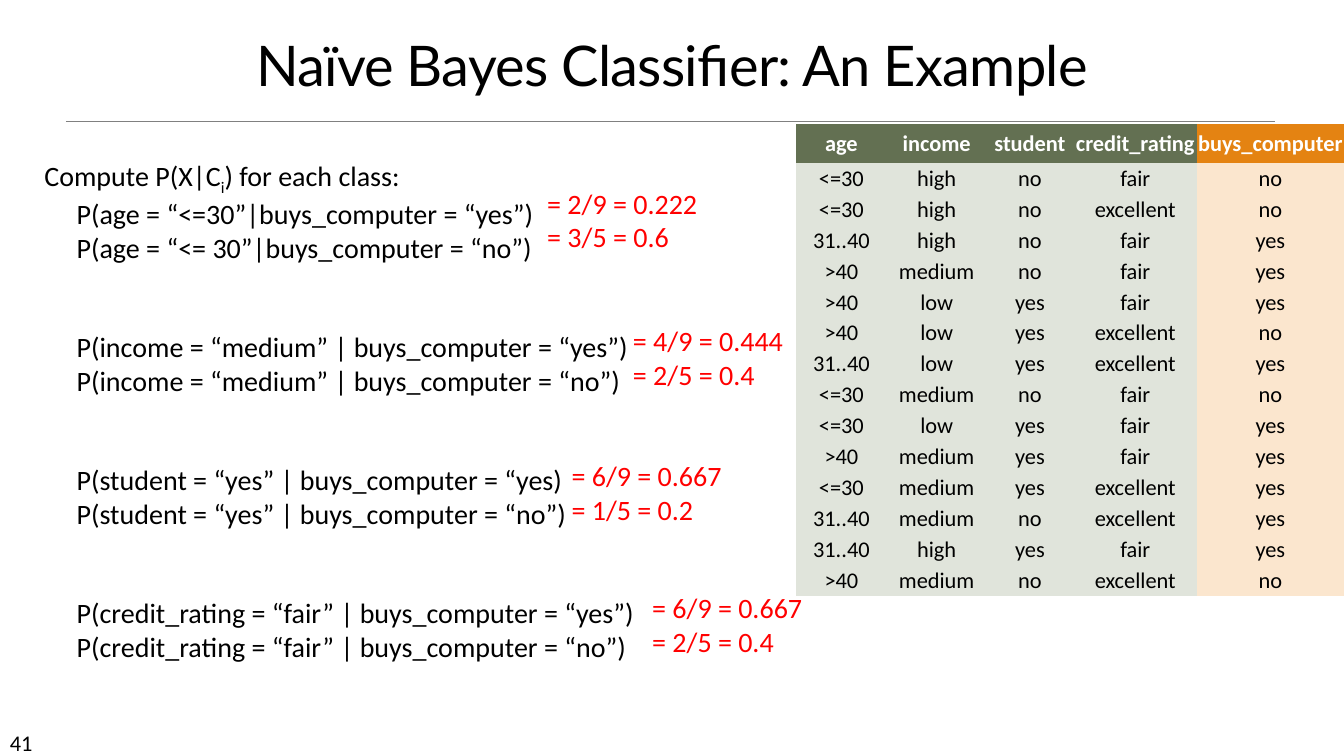
"""Build the naïve Bayes worked example slide."""
from pptx import Presentation
from pptx import util as u
from pptx.dml.color import RGBColor
from pptx.enum import shapes, text
from pptx.oxml.ns import qn
from lxml import etree

HUES = {"ink": "000000", "red": "FF0000", "rule": "808080", "white": "FFFFFF",
        "green": "637052", "orange": "E48312", "sage": "E0E4DB", "peach": "FBE6CE"}

deck = Presentation()
deck.slide_width, deck.slide_height = u.Inches(13.33), u.Inches(7.5)
slide = deck.slides.add_slide(deck.slide_layouts[1])


def grid(*spots):
    """Turn percent of slide width, height, width, ... into lengths."""
    sides = (deck.slide_width, deck.slide_height)
    return [u.Emu(round(sides[i % 2] * spot / 100)) for i, spot in enumerate(spots)]


def style(para, size, hue, face="Calibri", bold=False):
    """Format every run of a paragraph."""
    for run in para.runs:
        font = run.font
        font.size, font.name, font.bold = u.Pt(size), face, bold
        font.color.rgb = RGBColor.from_string(HUES[hue])


title = slide.shapes.title
title.left, title.top, title.width, title.height = grid(0, 0, 100, 13.6)
frame = title.text_frame
frame.text = "Naïve Bayes Classifier: An Example"
frame.auto_size = text.MSO_AUTO_SIZE.NONE
frame.vertical_anchor = text.MSO_ANCHOR.BOTTOM
head = frame.paragraphs[0]
head.alignment, head.line_spacing = text.PP_ALIGN.CENTER, 0.85
style(head, 40, "ink", "Lato")
head.runs[0].font._element.set("spc", "-50")

rule = slide.shapes.add_connector(shapes.MSO_CONNECTOR.STRAIGHT, *grid(4.9, 16, 94.9, 16))
rule.line.color.rgb = RGBColor.from_string(HUES["rule"])
rule.line.width = u.Pt(0.5)
etree.SubElement(rule.element.spPr, qn("a:effectLst"))

body = slide.placeholders[1]
body.left, body.top, body.width, body.height = grid(2.55, 19.87, 74.8, 65.6)
frame = body.text_frame
frame.text = """Compute P(X|C
P(age = “<=30”|buys_computer = “yes”)
P(age = “<= 30”|buys_computer = “no”)
P(income = “medium” | buys_computer = “yes”)
P(income = “medium” | buys_computer = “no”)
P(student = “yes” | buys_computer = “yes)
P(student = “yes” | buys_computer = “no”)
P(credit_rating = “fair” | buys_computer = “yes”)
P(credit_rating = “fair” | buys_computer = “no”)"""
frame.auto_size = text.MSO_AUTO_SIZE.NONE
frame.vertical_anchor = text.MSO_ANCHOR.TOP
lead = frame.paragraphs[0]
for part in ("i", ") for each class:"):
    lead.add_run().text = part
lead.runs[1].font._element.set("baseline", "-25000")
for i, para in enumerate(frame.paragraphs):
    props = para._p.get_or_add_pPr()
    props.set("marL", str(u.Inches(0.32 if i else 0)))
    props.set("indent", "0")
    etree.SubElement(props, qn("a:buNone"))
    para.alignment = text.PP_ALIGN.LEFT
    para.space_before = u.Pt(47 if i > 1 and i % 2 else 0)
    style(para, 20, "ink")
frame.margin_top = u.Inches(0.08)

rows = [line.split() for line in """age income student credit_rating buys_computer
<=30 high no fair no
<=30 high no excellent no
31..40 high no fair yes
>40 medium no fair yes
>40 low yes fair yes
>40 low yes excellent no
31..40 low yes excellent yes
<=30 medium no fair no
<=30 low yes fair yes
>40 medium yes fair yes
<=30 medium yes excellent yes
31..40 medium no excellent yes
31..40 high yes fair yes
>40 medium no excellent no""".split("\n")]
holder = slide.shapes.add_table(len(rows), len(rows[0]), *grid(59.19, 16.4, 40.81, 62.4))
holder.element.xpath(".//a:tableStyleId")[0].text = "{2D5ABB26-0587-4C30-8999-92F81FD0307C}"
table = holder.table
table.horz_banding = False
for col, share in zip(table.columns, (6.83, 7.35, 6.53, 9.15, 10.95)):
    col.width = grid(share)[0]
for r, words in enumerate(rows):
    table.rows[r].height = grid(0, 4.09 if r else 5.2)[1]
    for c, word in enumerate(words):
        cell = table.cell(r, c)
        cell.text = word
        cell.margin_left = cell.margin_right = cell.margin_top = cell.margin_bottom = 0
        cell.vertical_anchor = text.MSO_ANCHOR.MIDDLE
        fill = ("sage", "peach") if r else ("green", "orange")
        cell.fill.solid()
        cell.fill.fore_color.rgb = RGBColor.from_string(HUES[fill[c == 4]])
        para = cell.text_frame.paragraphs[0]
        para.alignment = text.PP_ALIGN.CENTER
        style(para, 16, "ink" if r else "white", bold=not r)

notes = [
    (39.98, 24, 15.6, 10.27, "= 2/9 = 0.222\n= 3/5 = 0.6", 20, "red"),
    (46.36, 42.13, 15.6, 10.27, "= 4/9 = 0.444\n= 2/5 = 0.4", 20, "red"),
    (41.79, 60, 15.6, 10.27, "= 6/9 = 0.667\n= 1/5 = 0.2", 20, "red"),
    (47.79, 77.47, 15.6, 10.27, "= 6/9 = 0.667\n= 2/5 = 0.4", 20, "red"),
    (0, 95.73, 8.78, 4, "41", 16, "ink"),
]
for *spot, words, size, hue in notes:
    frame = slide.shapes.add_textbox(*grid(*spot)).text_frame
    frame.word_wrap = True
    frame.text = words
    for para in frame.paragraphs:
        style(para, size, hue)

deck.save("out.pptx")
